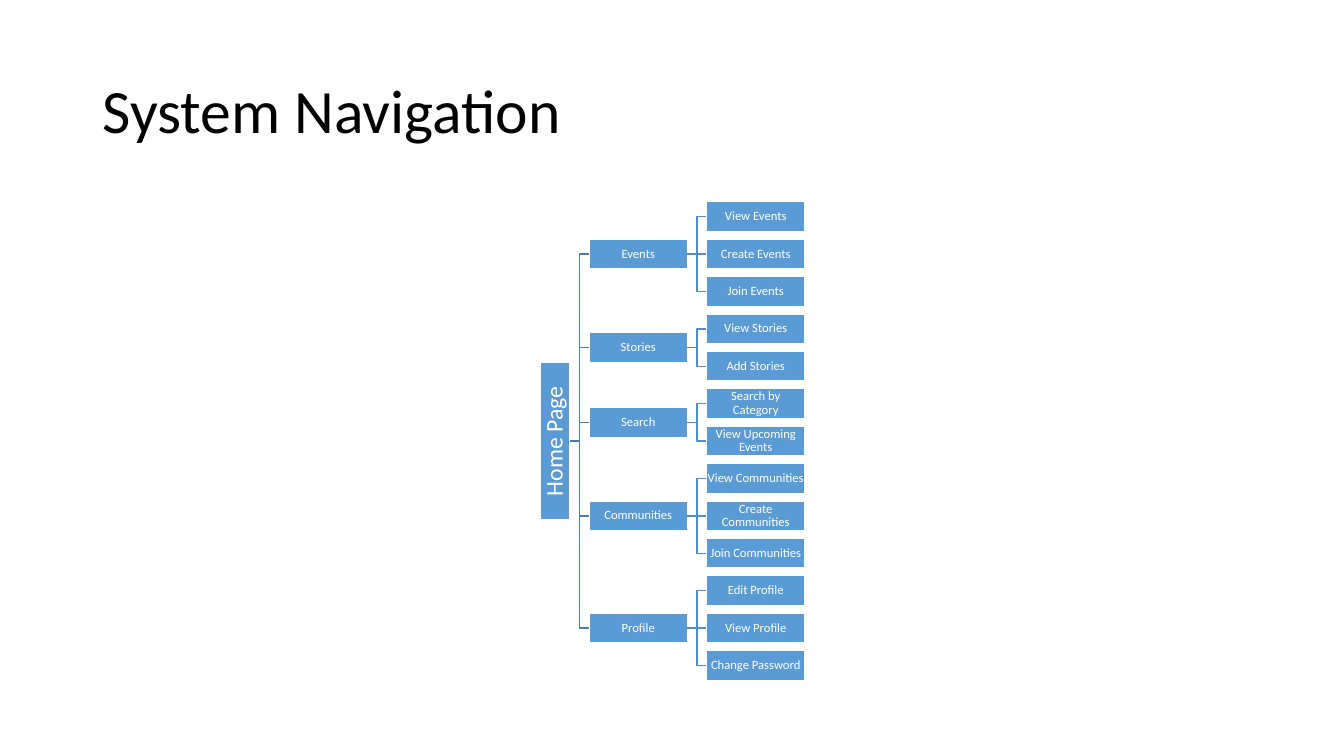
"""Build the System Navigation slide: a site tree running left to right."""
from lxml import etree
from pptx import Presentation
from pptx.dml.color import RGBColor
from pptx.enum import shapes, text
from pptx.oxml import ns
from pptx.util import Cm, Pt

BLUE = RGBColor(0x5B, 0x9B, 0xD5)
TRUNK = RGBColor(0x49, 0x7C, 0xAB)
TWIG = RGBColor(0x53, 0x8D, 0xC1)
WHITE = RGBColor(0xFF, 0xFF, 0xFF)
BLACK = RGBColor(0, 0, 0)

WIDE, HIGH, GAP = 2.47, 0.75, 0.49
LEAF_X = 17.81
MID_X = LEAF_X - GAP - WIDE
ROOT_X = MID_X - GAP - HIGH
ROOT_W = 3.96
TOP, END = 5.46, 16.77

TREE = {
    "Events": ["View Events", "Create Events", "Join Events"],
    "Stories": ["View Stories", "Add Stories"],
    "Search": ["Search by Category", "View Upcoming Events"],
    "Communities": ["View Communities", "Create Communities", "Join Communities"],
    "Profile": ["Edit Profile", "View Profile", "Change Password"],
}


def add_box(label, left, mid, wide=WIDE, size=9):
    box = slide.shapes.add_shape(shapes.MSO_SHAPE.RECTANGLE, Cm(left),
                                 Cm(mid - HIGH / 2), Cm(wide), Cm(HIGH))
    box.shadow.inherit = False
    box.fill.solid()
    box.fill.fore_color.rgb = BLUE
    box.line.color.rgb = WHITE
    box.line.width = Pt(1)
    frame = box.text_frame
    frame.text = label
    frame.word_wrap = True
    frame.vertical_anchor = text.MSO_ANCHOR.MIDDLE
    frame.margin_left = frame.margin_right = Cm(0.01)
    frame.margin_top = frame.margin_bottom = Cm(0.01)
    para = frame.paragraphs[0]
    para.alignment = text.PP_ALIGN.CENTER
    para.line_spacing = 0.9
    font = para.runs[0].font
    font.name, font.size, font.color.rgb = "Calibri", Pt(size), WHITE
    return box


def add_link(right, start, stop, color):
    kind = shapes.MSO_CONNECTOR.ELBOW
    if abs(start - stop) < 0.01:
        kind = shapes.MSO_CONNECTOR.STRAIGHT
    link = slide.shapes.add_connector(kind, Cm(right - GAP), Cm(start),
                                      Cm(right), Cm(stop))
    link.line.color.rgb = color
    link.line.width = Pt(1)
    etree.SubElement(link._element.spPr, ns.qn("a:effectLst"))


deck = Presentation()
deck.slide_width, deck.slide_height = Cm(33.87), Cm(19.05)
slide = deck.slides.add_slide(deck.slide_layouts[5])

title = slide.shapes.title
title.left, title.top, title.width, title.height = Cm(2.33), Cm(1.01), Cm(29.21), Cm(3.68)
title.text_frame.text = "System Navigation"
title.text_frame.vertical_anchor = text.MSO_ANCHOR.MIDDLE
head = title.text_frame.paragraphs[0]
head.alignment = text.PP_ALIGN.LEFT
head.line_spacing = 0.9
font = head.runs[0].font
font.name, font.size, font.color.rgb = "Calibri", Pt(44), BLACK

step = (END - TOP) / (sum(len(leaves) for leaves in TREE.values()) - 1)
center = (TOP + END) / 2
row = 0
for branch, leaves in TREE.items():
    mid = TOP + step * (row + (len(leaves) - 1) / 2)
    add_link(MID_X, center, mid, TRUNK)
    add_box(branch, MID_X, mid)
    for leaf in leaves:
        spot = TOP + step * row
        add_link(LEAF_X, mid, spot, TWIG)
        add_box(leaf, LEAF_X, spot)
        row += 1

root = add_box("Home Page", ROOT_X + (HIGH - ROOT_W) / 2, center, ROOT_W, 17)
root.rotation = 270

deck.save("out.pptx")
